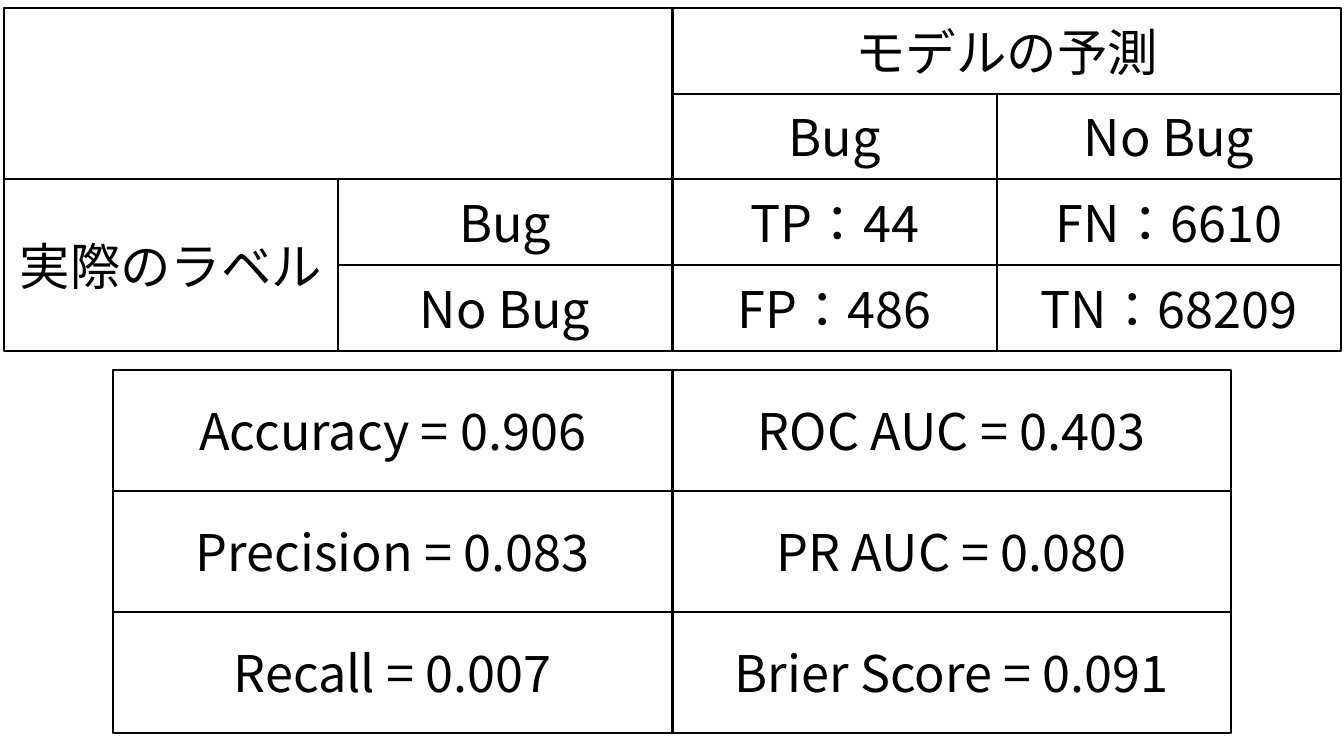
"""Build a slide with a confusion matrix above a grid of model scores."""
from lxml import etree
from pptx import Presentation
from pptx.dml.color import RGBColor
from pptx.enum.lang import MSO_LANGUAGE_ID
from pptx.enum.shapes import MSO_SHAPE
from pptx.enum.text import MSO_ANCHOR, PP_ALIGN
from pptx.oxml.ns import qn
from pptx.util import Pt

RECT = MSO_SHAPE.RECTANGLE
MIDDLE = MSO_ANCHOR.MIDDLE
CENTER = PP_ALIGN.CENTER
JAPANESE = MSO_LANGUAGE_ID.JAPANESE
FONT = "Noto Sans CJK JP"
BLACK, WHITE = "000000", "FFFFFF"
PX = 9144
SIZE = (1333, 750)

GRIDS = [
    {
        "at": (4, 8),
        "cols": [331, 332, 322, 341],
        "row": 85,
        "rows": [
            ["", None, "モデルの予測", None],
            [None, None, "Bug", "No Bug"],
            ["実際のラベル", "Bug", "TP：44", "FN：6610"],
            [None, "No Bug", "FP：486", "TN：68209"],
        ],
        "spans": {(0, 0): (2, 2), (0, 2): (1, 2), (2, 0): (2, 1)},
    },
    {
        "at": (112, 367),
        "cols": [555, 554],
        "row": 120,
        "rows": [
            ["Accuracy = 0.906", "ROC AUC = 0.403"],
            ["Precision = 0.083", "PR AUC = 0.080"],
            ["Recall = 0.007", "Brier Score = 0.091"],
        ],
        "spans": {},
    },
]


def color(code):
    """Turn a hex string into a colour."""
    return RGBColor.from_string(code)


def write(cell, text, size=36, ink=BLACK, align=CENTER):
    """Put formatted text in a cell."""
    cell.text_frame.word_wrap = True
    cell.text_frame.vertical_anchor = MIDDLE
    para = cell.text_frame.paragraphs[0]
    para.alignment = align
    run = para.add_run()
    run.text = text
    run.font.name = FONT
    run.font.size = Pt(size)
    run.font.color.rgb = color(ink)
    run.font.language_id = JAPANESE
    etree.SubElement(run.font._element, qn("a:ea"), typeface=FONT)


def frame(slide, box, ink=BLACK, width=1.5, back=WHITE):
    """Add one outlined cell."""
    cell = slide.shapes.add_shape(RECT, *(n * PX for n in box))
    cell.shadow.inherit = False
    cell.fill.solid()
    cell.fill.fore_color.rgb = color(back)
    cell.line.color.rgb = color(ink)
    cell.line.width = Pt(width)
    return cell


def draw(slide, grid):
    """Add the cells of one grid, where None is covered by a span."""
    left, top = grid["at"]
    cols, high = grid["cols"], grid["row"]
    for r, texts in enumerate(grid["rows"]):
        for c, text in enumerate(texts):
            if text is None:
                continue
            down, wide = grid["spans"].get((r, c), (1, 1))
            x, y = left + sum(cols[:c]), top + r * high
            box = (x, y, sum(cols[c:c + wide]), down * high)
            cell = frame(slide, box)
            if text:
                write(cell, text)


def main():
    """Make the slide and save it."""
    deck = Presentation()
    deck.slide_width, deck.slide_height = (n * PX for n in SIZE)
    slide = deck.slides.add_slide(deck.slide_layouts[6])
    for grid in GRIDS:
        draw(slide, grid)
    deck.save("out.pptx")


if __name__ == "__main__":
    main()
